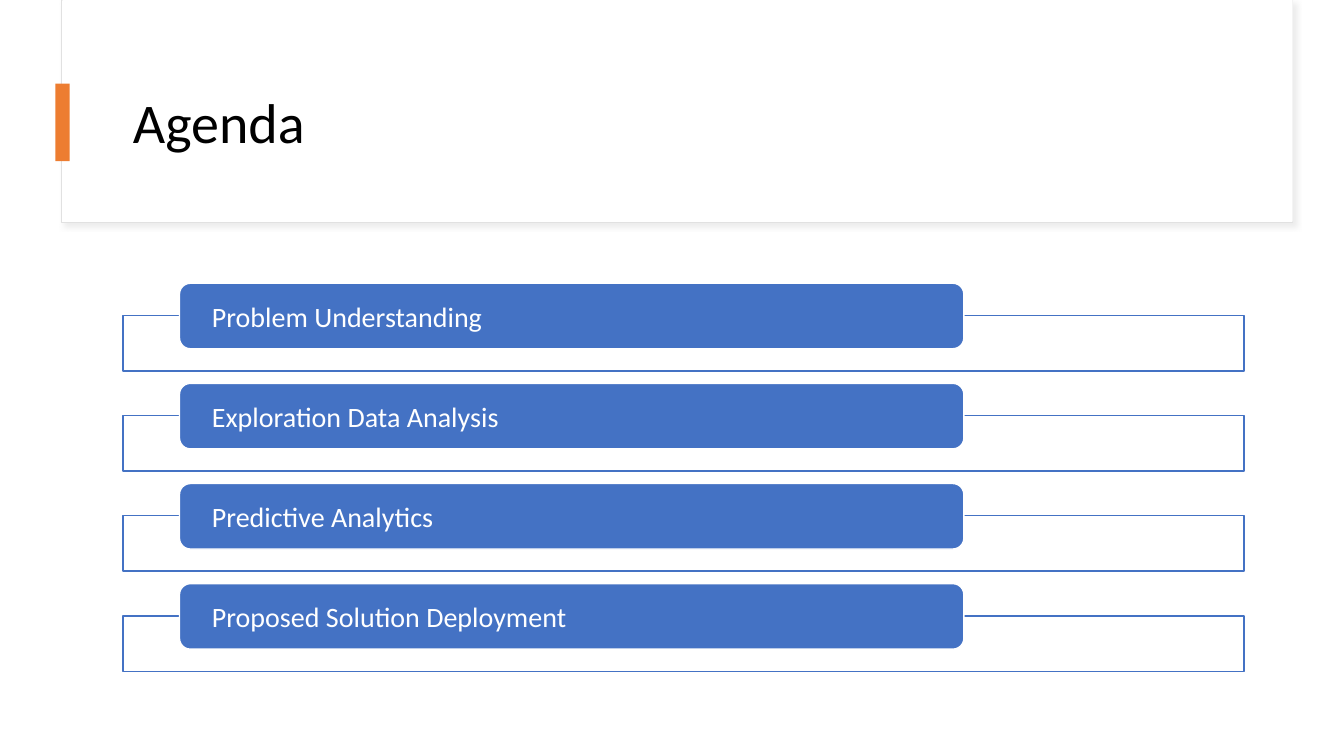
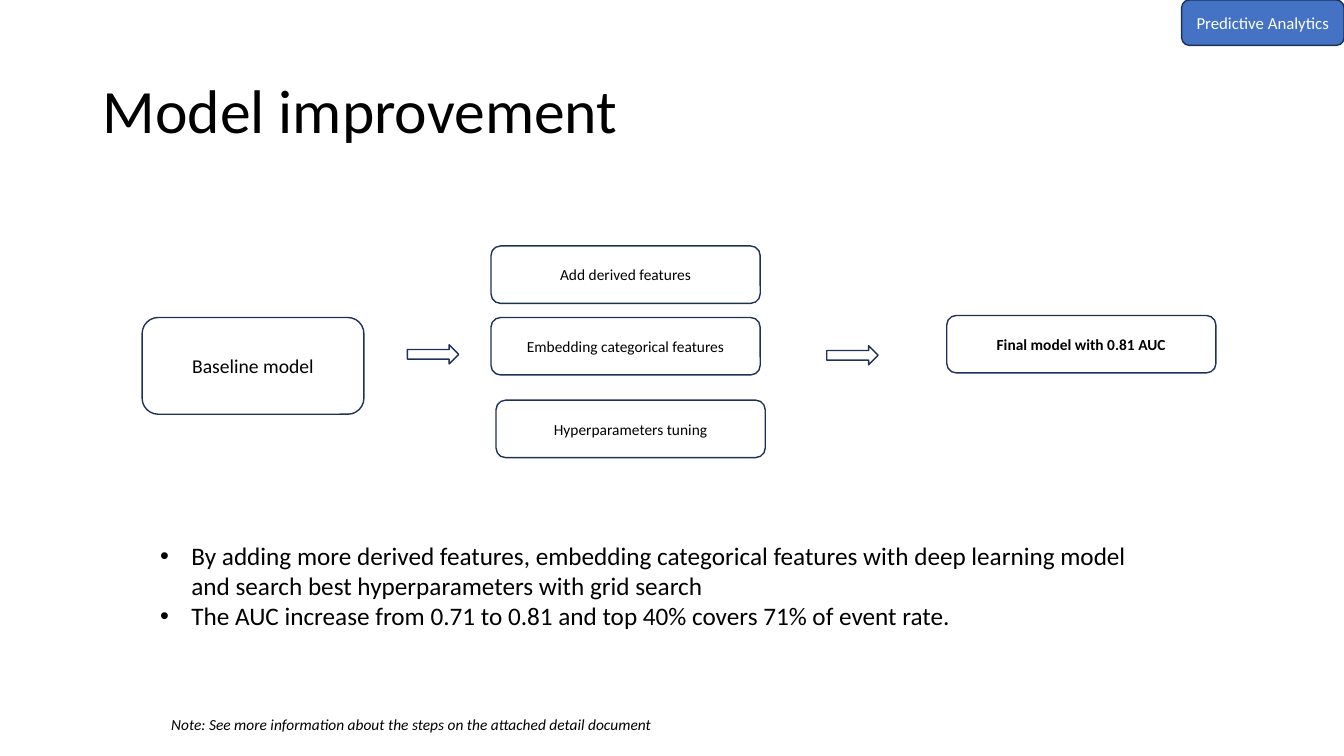
"""Build the agenda and model improvement slides."""
from dataclasses import dataclass, field
from typing import Any

from lxml import etree
from pptx import Presentation
from pptx.dml.color import RGBColor
from pptx.enum.shapes import MSO_SHAPE
from pptx.enum.text import MSO_ANCHOR, MSO_AUTO_SIZE, PP_ALIGN
from pptx.oxml.ns import qn
from pptx.util import Inches, Pt

RECT = MSO_SHAPE.RECTANGLE
ROUND = MSO_SHAPE.ROUNDED_RECTANGLE
ARROW = MSO_SHAPE.RIGHT_ARROW
MIDDLE = MSO_ANCHOR.MIDDLE
TOP = MSO_ANCHOR.TOP
LEFT = PP_ALIGN.LEFT
CENTER = PP_ALIGN.CENTER
GROW = MSO_AUTO_SIZE.SHAPE_TO_FIT_TEXT

FONT = "Calibri"
COLORS = {
    "white": "FFFFFF",
    "black": "000000",
    "blue": "4472C4",
    "navy": "1E3256",
    "orange": "ED7D31",
    "edge": "E1E1E1",
    "shade": "D9D9D9",
}

AGENDA = [
    "Problem Understanding",
    "Exploration Data Analysis",
    "Predictive Analytics",
    "Proposed Solution Deployment",
]
FIRST, LAST = 2.81, 5.79
STEP = (LAST - FIRST) / (len(AGENDA) - 1)
STEP_W, STEP_H = 2.67, 0.57

POINTS = [
    "By adding more derived features, embedding categorical features with deep "
    "learning model and search best hyperparameters with grid search",
    "The AUC increase from 0.71 to 0.81 and top 40% covers 71% of event rate.",
]
NOTE = "Note: See more information about the steps on the attached detail document"


@dataclass
class Box:
    left: float
    top: float
    width: float
    height: float
    text: str = ""
    size: float = 11
    kind: Any = ROUND
    fill: str = "white"
    line: str | None = "navy"
    weight: float = 1
    ink: str = "black"
    align: Any = CENTER
    inset: float = 0.1
    style: dict[str, Any] = field(default_factory=dict)


STEPS = [
    Box(11.72, 0, 1.61, 0.45, "Predictive Analytics", 12, fill="blue", ink="white"),
    Box(1.41, 3.15, 2.2, 0.96, "Baseline model", 14),
    Box(4.87, 2.44, STEP_W, STEP_H, "Add derived features"),
    Box(4.87, 3.15, STEP_W, STEP_H, "Embedding categorical features"),
    Box(4.92, 3.97, STEP_W, STEP_H, "Hyperparameters tuning"),
    Box(4.04, 3.42, 0.51, 0.19, kind=ARROW),
    Box(8.2, 3.43, 0.51, 0.19, kind=ARROW),
    Box(9.39, 3.13, STEP_W, STEP_H, "Final model with 0.81 AUC", style={"bold": True}),
]


def shade(name: str) -> RGBColor:
    return RGBColor.from_string(COLORS[name])


def apply(item: Any, values: dict[str, Any]) -> None:
    for key, value in values.items():
        setattr(item, key, value)


def add_run(para: Any, text: str, size: float, ink: str, style: dict[str, Any]) -> None:
    run = para.add_run()
    run.text = text
    apply(run.font, {"name": FONT, "size": Pt(size), **style})
    run.font.color.rgb = shade(ink)


def add_box(slide: Any, box: Box) -> Any:
    sides = map(Inches, (box.left, box.top, box.width, box.height))
    shape = slide.shapes.add_shape(box.kind, *sides)
    shape.shadow.inherit = False
    shape.fill.solid()
    shape.fill.fore_color.rgb = shade(box.fill)
    if box.line:
        shape.line.color.rgb = shade(box.line)
        shape.line.width = Pt(box.weight)
    else:
        shape.line.fill.background()
    if box.text:
        frame = shape.text_frame
        pad = Inches(box.inset)
        apply(frame, {"word_wrap": True, "vertical_anchor": MIDDLE,
                      "margin_left": pad, "margin_right": pad})
        para = frame.paragraphs[0]
        para.alignment = box.align
        add_run(para, box.text, box.size, box.ink, box.style)
    return shape


def add_text(slide: Any, left: float, top: float, width: float, height: float,
             lines: list[str], size: float, anchor: Any = TOP, space: float = 1,
             bullet: bool = False, style: dict[str, Any] | None = None) -> None:
    sides = map(Inches, (left, top, width, height))
    frame = slide.shapes.add_textbox(*sides).text_frame
    apply(frame, {"word_wrap": True, "vertical_anchor": anchor})
    if anchor == TOP:
        frame.auto_size = GROW
    for i, line in enumerate(lines):
        para = frame.add_paragraph() if i else frame.paragraphs[0]
        apply(para, {"alignment": LEFT, "line_spacing": space})
        if bullet:
            add_mark(para)
        add_run(para, line, size, "black", style or {})


def add_mark(para: Any) -> None:
    props = para._p.get_or_add_pPr()
    props.set("marL", str(Inches(0.31)))
    props.set("indent", str(-Inches(0.31)))
    etree.SubElement(props, qn("a:buFont"), typeface="Arial")
    etree.SubElement(props, qn("a:buChar"), char="•")


def add_title(slide: Any, left: float, top: float, width: float, height: float,
              text: str, size: float) -> None:
    add_text(slide, left, top, width, height, [text], size, MIDDLE, 0.9)


def set_alpha(color: Any, share: int) -> None:
    etree.SubElement(color, qn("a:alpha"), val=str(share * 1000))


def add_shadow(shape: Any) -> None:
    effects = shape._element.spPr.find(qn("a:effectLst"))
    outer = etree.SubElement(effects, qn("a:outerShdw"), blurRad=str(Pt(4)),
                             dist=str(Pt(3)), dir=str(45 * 60000))
    color = etree.SubElement(outer, qn("a:srgbClr"), val=COLORS["shade"])
    set_alpha(color, 50)


def draw_agenda(slide: Any) -> None:
    add_shadow(add_box(slide, Box(0.61, 0, 12.21, 2.21, kind=RECT,
                                  line="edge", weight=0.75)))
    add_box(slide, Box(0.62, 0, 12.2, 2.2, kind=RECT, line=None))
    add_title(slide, 1.22, 0.6, 11.12, 1.29, "Agenda", 40)
    add_box(slide, Box(0.55, 0.83, 0.14, 0.77, kind=RECT, fill="orange", line=None))
    for i, topic in enumerate(AGENDA):
        top = FIRST + i * STEP
        panel = add_box(slide, Box(1.22, top + 0.32, 11.12, 0.55, kind=RECT, line="blue"))
        set_alpha(panel._element.spPr.find(qn("a:solidFill"))[0], 90)
        add_box(slide, Box(1.78, top, 7.78, 0.65, topic, 20, fill="blue", line="white",
                           ink="white", align=LEFT, inset=0.29))


def draw_model(slide: Any) -> None:
    add_title(slide, 0.92, 0.4, 11.5, 1.45, "Model improvement", 44)
    for box in STEPS:
        add_box(slide, box)
    add_text(slide, 1.6, 7.05, 9.3, 0.29, [NOTE], 11, style={"italic": True})
    add_text(slide, 1.49, 5.31, 10.11, 1.01, POINTS, 18, bullet=True)


def main() -> None:
    deck = Presentation()
    apply(deck, {"slide_width": Inches(13.33), "slide_height": Inches(7.5)})
    for draw in (draw_agenda, draw_model):
        draw(deck.slides.add_slide(deck.slide_layouts[6]))
    deck.save("out.pptx")


if __name__ == "__main__":
    main()
